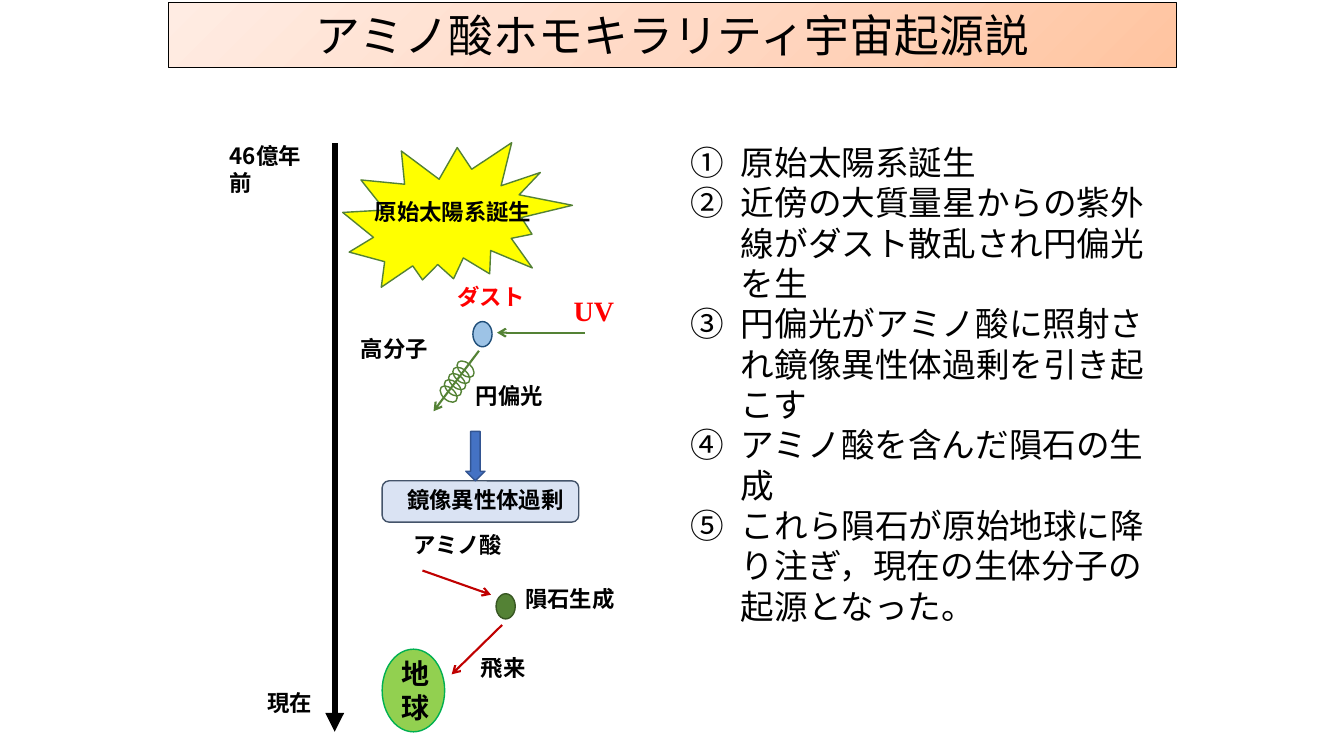
from dataclasses import dataclass

from lxml import etree
from pptx import Presentation
from pptx.dml.color import RGBColor
from pptx.enum.shapes import MSO_CONNECTOR, MSO_SHAPE
from pptx.enum.text import MSO_ANCHOR, PP_ALIGN
from pptx.oxml.ns import qn
from pptx.util import Inches, Pt

STRAIGHT = MSO_CONNECTOR.STRAIGHT
RECTANGLE, ROUNDED = MSO_SHAPE.RECTANGLE, MSO_SHAPE.ROUNDED_RECTANGLE
OVAL, DOWN_ARROW, BURST = MSO_SHAPE.OVAL, MSO_SHAPE.DOWN_ARROW, MSO_SHAPE.EXPLOSION2
LEFT, CENTER = PP_ALIGN.LEFT, PP_ALIGN.CENTER
TOP, MIDDLE = MSO_ANCHOR.TOP, MSO_ANCHOR.MIDDLE

COLORS = {
    "black": "000000", "red": "FF0000", "crimson": "C00000",
    "sun": "FFFF00", "leaf": "548235", "leaf_edge": "385723",
    "dust": "9DC3E6", "dust_edge": "1F4E79",
    "step": "4472C4", "step_edge": "325491",
    "excess": "DAE3F3", "excess_edge": "44546A",
    "earth": "92D050", "earth_edge": "00B050",
    "peach": "FFC4A0", "light_peach": "FFD9C5", "pale_peach": "FFECE3",
}
JAPANESE, LATIN, SERIF = "Noto Sans CJK JP", "Arial", "Times New Roman"
LABEL = {"size": Pt(16), "bold": True, "name": JAPANESE}
EARTH = {**LABEL, "size": Pt(20)}
UV = {**EARTH, "name": SERIF}
STEP = {"size": Pt(24), "name": LATIN}
TITLE = {"size": Pt(32), "name": LATIN}

STEPS = (
    "原始太陽系誕生",
    "近傍の大質量星からの紫外線がダスト散乱され円偏光を生",
    "円偏光がアミノ酸に照射され鏡像異性体過剰を引き起こす",
    "アミノ酸を含んだ隕石の生成",
    "これら隕石が原始地球に降り注ぎ，現在の生体分子の起源となった。",
)


@dataclass
class Region:
    """A part of the slide, measured in inches and divided into a grid of cells."""

    slide: object
    left: float
    top: float
    width: float
    height: float
    cell: float = 0.1

    def point(self, col, row):
        """Return the slide position of a grid point."""
        return Inches(self.left + col * self.cell), Inches(self.top + row * self.cell)

    def place(self, col, row, cols, rows):
        """Return the slide position and size of a block of cells."""
        return (*self.point(col, row), Inches(cols * self.cell), Inches(rows * self.cell))

    def whole(self):
        """Return the position and size of the full region."""
        return self.place(0, 0, self.width / self.cell, self.height / self.cell)


def rgb(color):
    """Look up a colour of the palette."""
    return RGBColor.from_string(COLORS[color])


def write(paragraph, text, style, color="black"):
    """Put styled text into a paragraph."""
    run = paragraph.add_run()
    run.text = text
    for attribute, value in style.items():
        setattr(run.font, attribute, value)
    run.font.color.rgb = rgb(color)
    east_asian = etree.SubElement(run.font._element, qn("a:ea"))
    east_asian.set("typeface", JAPANESE)


def add_label(region, col, row, cols, text, color="black", style=LABEL, wrap=False):
    """Add a short caption."""
    frame = region.slide.shapes.add_textbox(*region.place(col, row, cols, 4.8)).text_frame
    frame.word_wrap = wrap
    write(frame.paragraphs[0], text, style, color)


def add_figure(region, kind, block, fill, edge, rotation=0):
    """Add an outlined preset shape, hollow when no fill is given."""
    figure = region.slide.shapes.add_shape(kind, *region.place(*block))
    figure.shadow.inherit = False
    figure.rotation = rotation
    if fill:
        figure.fill.solid()
        figure.fill.fore_color.rgb = rgb(fill)
    else:
        figure.fill.background()
    figure.line.color.rgb = rgb(edge)
    figure.line.width = Pt(1)
    return figure


def add_arrow(region, start, end, color, weight=1.5, head="arrow"):
    """Add a straight arrow between two grid points."""
    arrow = region.slide.shapes.add_connector(
        STRAIGHT, *region.point(*start), *region.point(*end))
    arrow.line.color.rgb = rgb(color)
    arrow.line.width = Pt(weight)
    etree.SubElement(arrow.line._get_or_add_ln(), qn("a:tailEnd")).set("type", head)
    etree.SubElement(arrow._element.spPr, qn("a:effectLst"))


def draw_title(region, text):
    """Draw the title banner with its diagonal gradient."""
    banner = region.slide.shapes.add_shape(RECTANGLE, *region.whole())
    banner.shadow.inherit = False
    banner.fill.gradient()
    banner.fill.gradient_angle = 135
    stops = banner._element.spPr.find(qn("a:gradFill")).find(qn("a:gsLst"))
    for stop in list(stops):
        stops.remove(stop)
    for position, color in enumerate(("peach", "light_peach", "pale_peach")):
        stop = etree.SubElement(stops, qn("a:gs"), pos=str(position * 50000))
        etree.SubElement(stop, qn("a:srgbClr"), val=COLORS[color])
    banner.line.color.rgb = rgb("black")
    banner.line.width = Pt(0.75)
    frame = banner.text_frame
    frame.word_wrap, frame.vertical_anchor = True, TOP
    frame.paragraphs[0].alignment = CENTER
    write(frame.paragraphs[0], text, TITLE)


def draw_timeline(region):
    """Draw the path from the early solar system to the present Earth."""
    add_arrow(region, (13.2, 4.2), (13.2, 62.6), "black", 4.5, "triangle")
    for kind, block, fill, edge, rotation in (
        (ROUNDED, (17.9, 37.7, 19.5, 4.1), "excess", "excess_edge", 0),
        (BURST, (14.1, 3.3, 22.3, 16.4), "sun", "leaf", 10.2),
        (OVAL, (26.9, 21.9, 1.9, 2.5), "dust", "dust_edge", 0),
        (DOWN_ARROW, (26.2, 32.8, 1.9, 4.9), "step", "step_edge", 0),
        (OVAL, (29.2, 48.9, 1.9, 2.5), "leaf", "leaf_edge", 0),
    ):
        add_figure(region, kind, block, fill, edge, rotation)
    for start, end, color in (
        ((38, 23), (29.3, 23), "leaf"),
        ((27.5, 24.8), (23, 30.8), "leaf"),
        ((21.9, 46.6), (28.7, 49), "crimson"),
        ((29.8, 52), (24.8, 56.9), "crimson"),
    ):
        add_arrow(region, start, end, color)
    for turn in range(5):
        coil = (23.5 + turn * 0.42, 28.5 - turn * 0.62, 2, 1.2)
        add_figure(region, OVAL, coil, None, "leaf", 42.6)
    earth = add_figure(region, OVAL, (17.9, 54.4, 6.2, 8.2), "earth", "earth_edge").text_frame
    earth.word_wrap, earth.vertical_anchor = True, MIDDLE
    earth.paragraphs[0].alignment = LEFT
    write(earth.paragraphs[0], "地球", EARTH)
    for col, row, cols, text in (
        (16.2, 9.2, 17.8, "原始太陽系誕生"),
        (14.8, 22.8, 8.8, "高分子"),
        (26.2, 27.4, 8.8, "円偏光"),
        (19.4, 37.7, 17.8, "鏡像異性体過剰"),
        (20, 42.2, 11.1, "アミノ酸"),
        (31.1, 47.6, 11.1, "隕石生成"),
        (26.7, 54.4, 6.5, "飛来"),
        (5.5, 57.9, 6.5, "現在"),
    ):
        add_label(region, col, row, cols, text)
    add_label(region, 24.4, 17.6, 8.8, "ダスト", "red")
    add_label(region, 35.9, 18.6, 6.1, "UV", "red", UV)
    add_label(region, 1.8, 3.6, 11.1, "46億年前", wrap=True)


def draw_steps(region, steps):
    """List the steps of the hypothesis with circled numbers."""
    frame = region.slide.shapes.add_textbox(*region.whole()).text_frame
    frame.word_wrap = True
    for index, step in enumerate(steps):
        paragraph = frame.add_paragraph() if index else frame.paragraphs[0]
        properties = paragraph._p.get_or_add_pPr()
        properties.set("marL", str(Inches(0.5)))
        properties.set("indent", str(Inches(-0.5)))
        etree.SubElement(properties, qn("a:buAutoNum")).set("type", "circleNumDbPlain")
        write(paragraph, step, STEP)


def main():
    """Build and save the slide."""
    deck = Presentation()
    deck.slide_width, deck.slide_height = Inches(13.33), Inches(7.5)
    slide = deck.slides.add_slide(deck.slide_layouts[6])
    draw_timeline(Region(slide, 2, 1, 4.5, 6.5))
    draw_steps(Region(slide, 6.75, 1.36, 4.91, 4.44), STEPS)
    draw_title(Region(slide, 1.67, 0.03, 10, 0.64), "アミノ酸ホモキラリティ宇宙起源説")
    deck.save("out.pptx")


if __name__ == "__main__":
    main()
